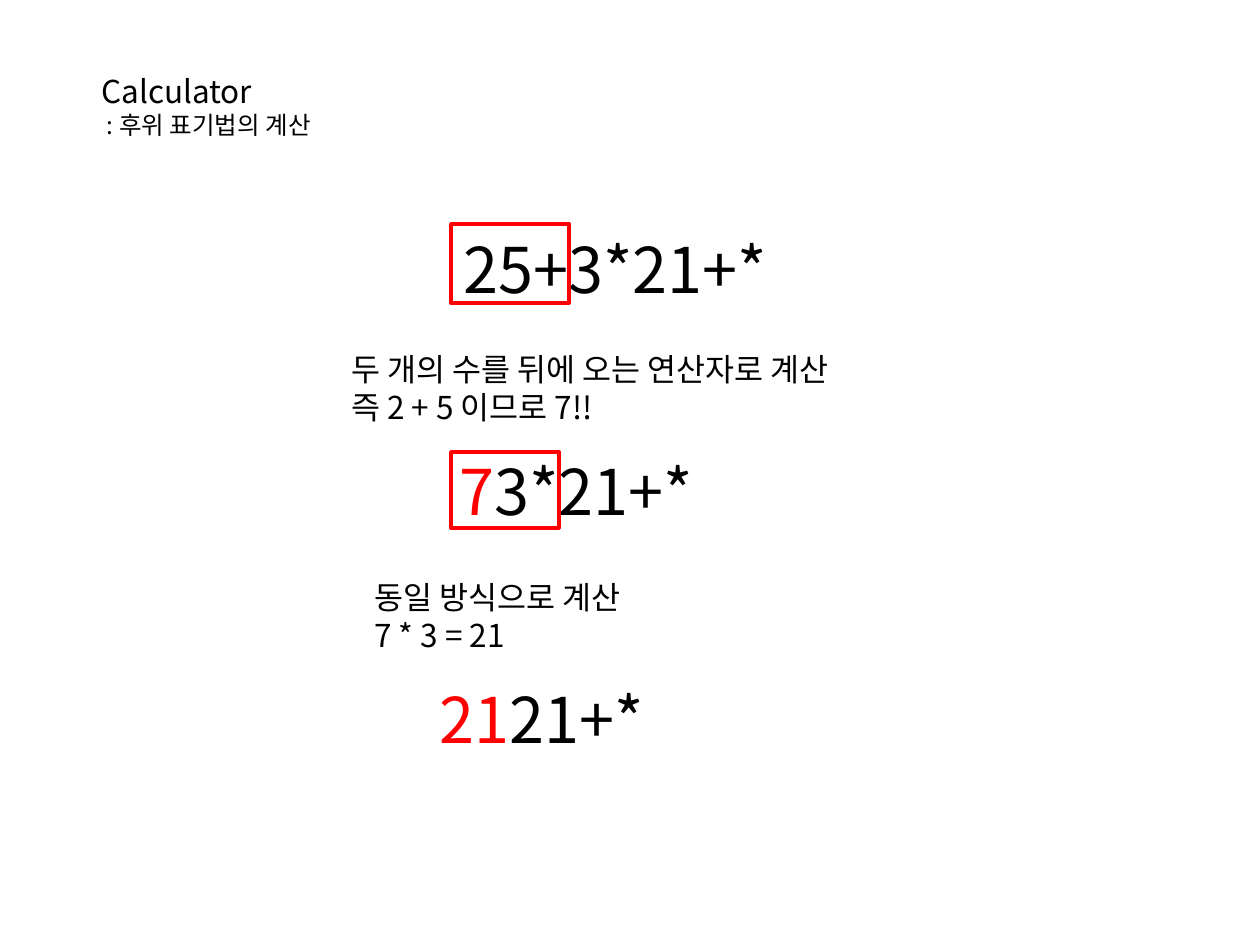
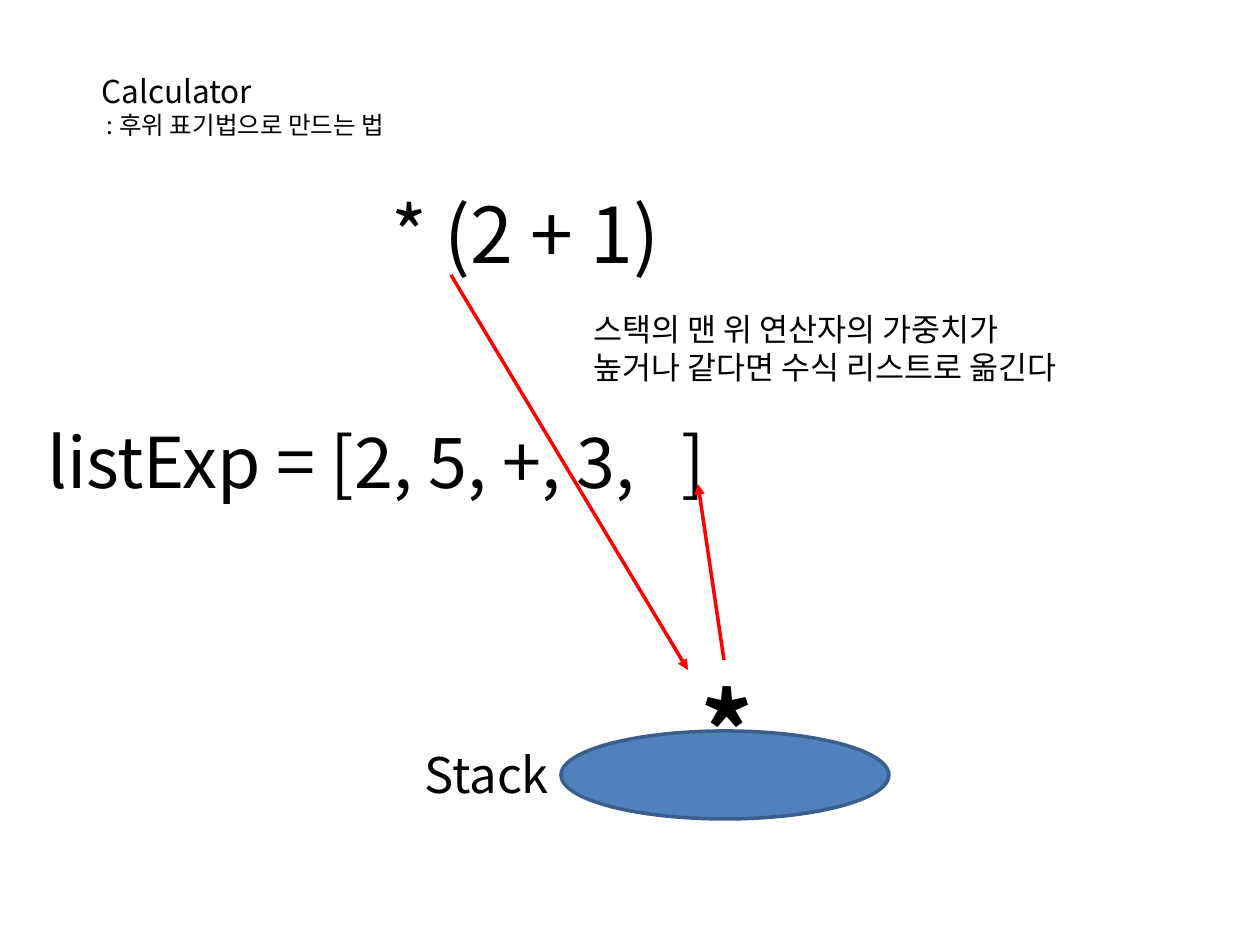
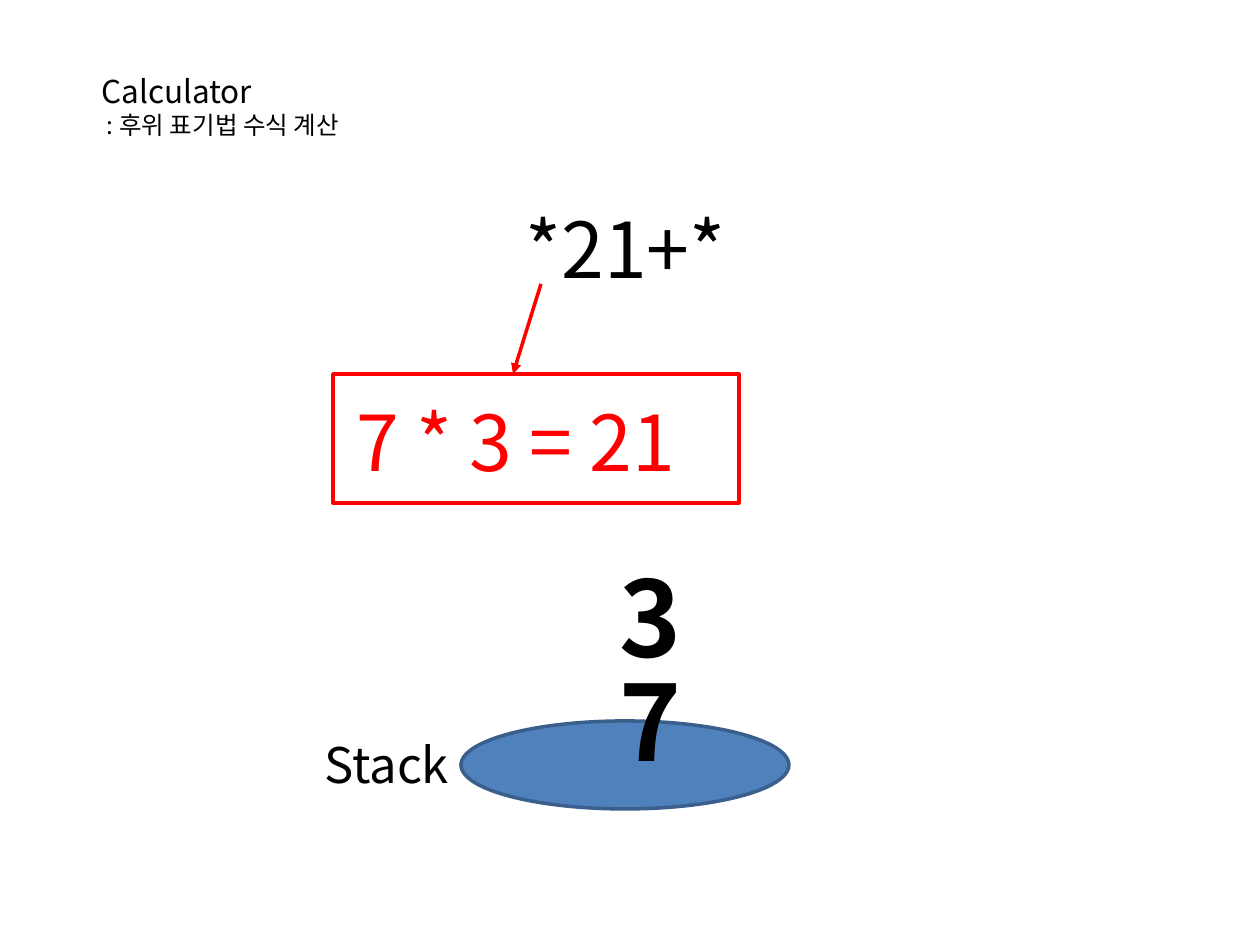
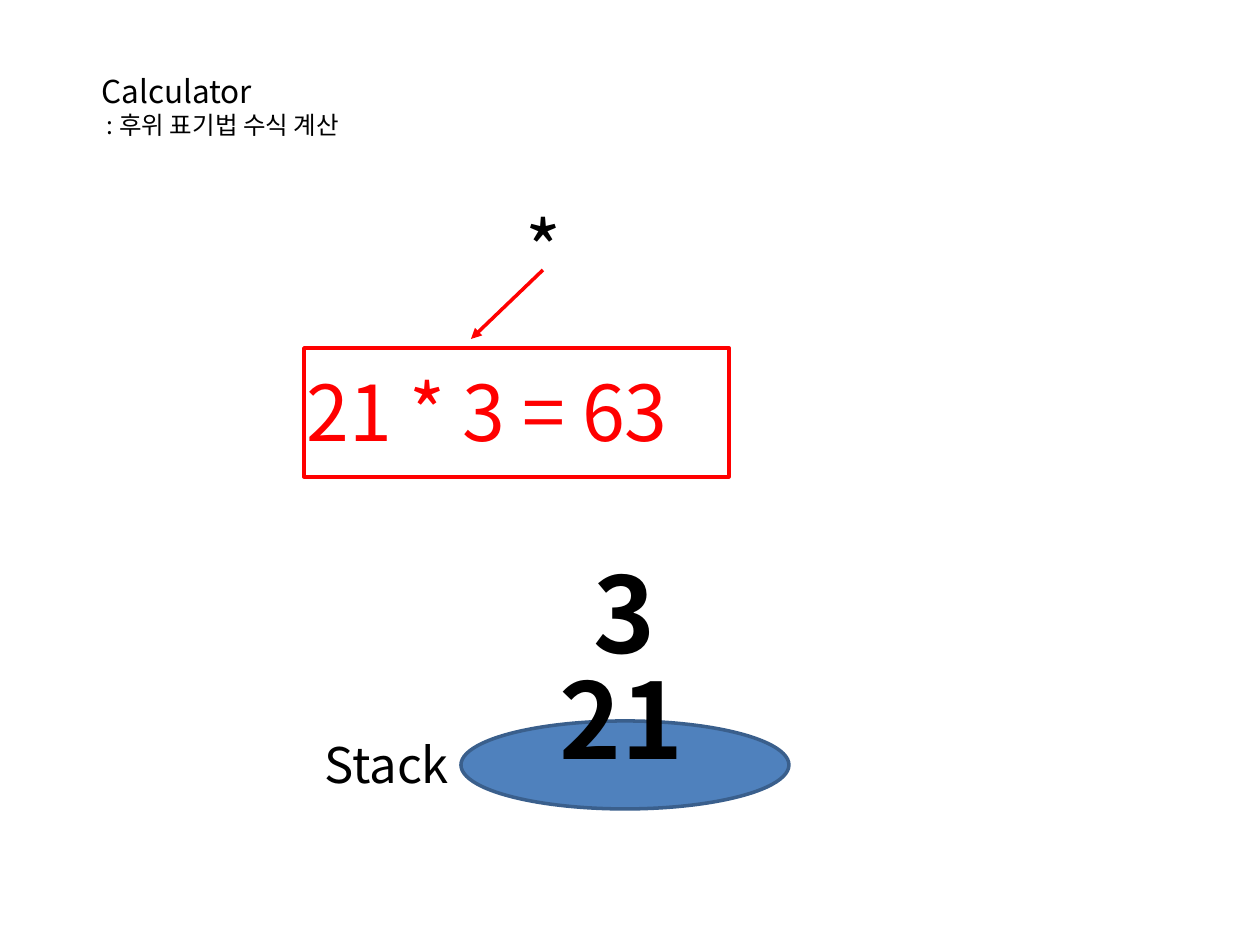
from pptx import Presentation, util as u
from pptx.dml.color import RGBColor
from pptx.enum import shapes, text
from pptx.oxml import ns
from lxml import etree

SCALE = 914400 // 126
FONT = "Noto Sans CJK KR"
BLACK, RED, BLUE, NAVY = "000000", "FF0000", "4F81BD", "3A5F8C"


def px(*lengths):
    """Turn pixel lengths into EMU."""
    return [u.Emu(round(length * SCALE)) for length in lengths]


def color(value):
    """Turn a hex string into a colour."""
    return RGBColor.from_string(value)


def child(parent, tag, **attributes):
    """Append a DrawingML element to a parent."""
    return etree.SubElement(parent, ns.qn(tag), **attributes)


def add_text(slide, box, paragraphs, bold=False, wrap=False):
    """Add paragraphs, each a list of (words, size, colour) runs."""
    label = slide.shapes.add_textbox(*px(*box))
    frame = label.text_frame
    frame.word_wrap = wrap
    frame.auto_size = text.MSO_AUTO_SIZE.SHAPE_TO_FIT_TEXT
    for index, runs in enumerate(paragraphs):
        paragraph = frame.add_paragraph() if index else frame.paragraphs[0]
        for words, size, shade in runs:
            run = paragraph.add_run()
            run.text = words
            run.font.size = u.Pt(size)
            run.font.bold = bold
            run.font.color.rgb = color(shade)
            run.font.name = FONT
            child(run.font._element, "a:ea", typeface=FONT)
    return frame


def add_outline(slide, kind, box, line, fill=None):
    """Add a preset shape with a two-point outline."""
    shape = slide.shapes.add_shape(kind, *px(*box))
    shape.shadow.inherit = False
    shape.line.color.rgb = color(line)
    shape.line.width = u.Pt(2)
    if fill:
        shape.fill.solid()
        shape.fill.fore_color.rgb = color(fill)
    else:
        shape.fill.background()


def add_frame(slide, box):
    """Mark a region with a red frame."""
    add_outline(slide, shapes.MSO_SHAPE.RECTANGLE, box, RED)


def add_arrow(slide, start, end):
    """Draw a red arrow between two points."""
    arrow = slide.shapes.add_connector(shapes.MSO_CONNECTOR.STRAIGHT, *px(*start, *end))
    arrow.line.color.rgb = color(RED)
    arrow.line.width = u.Pt(2)
    child(arrow.line._get_or_add_ln(), "a:tailEnd", type="triangle")
    child(arrow._element.spPr, "a:effectLst")


def add_heading(slide, topic, width):
    """Add the shared title and the topic of the slide."""
    add_text(slide, (89, 66, width, 81),
             [[("Calculator", 18, BLACK)], [(f" : {topic}", 14, BLACK)]])


def add_note(slide, box, lines):
    """Add an explanation of several lines."""
    add_text(slide, box, [[(line, 18, BLACK)] for line in lines])


def add_step(slide, box, rest, result=""):
    """Add a postfix expression led by its latest result in red."""
    runs = [(result, 36, RED)] if result else []
    add_text(slide, box, [runs + [(rest, 36, BLACK)]])


def add_stack(slide, left, top, items):
    """Draw the stack and its items, each (words, dx, dy, width)."""
    add_text(slide, (left - 149, top + 7, 159, 72), [[("Stack ", 28, BLACK)]])
    add_outline(slide, shapes.MSO_SHAPE.OVAL, (left, top, 328, 88), NAVY, BLUE)
    for words, dx, dy, width in items:
        add_text(slide, (left + dx, top + dy, width, 140),
                 [[(words, 60, BLACK)]], bold=True)


def add_operation(slide, box, words, dx, dy, width, wrap=False):
    """Show a framed calculation in red."""
    left, top = box[:2]
    add_text(slide, (left + dx, top + dy, width, 106), [[(words, 44, RED)]], wrap=wrap)
    add_frame(slide, box)


def build_reduction(slide):
    """Show a postfix expression being reduced step by step."""
    add_heading(slide, "후위 표기법의 계산", 263)
    add_step(slide, (451, 224, 344, 89), "25+3*21+*")
    add_frame(slide, (451, 224, 118, 79))
    add_note(slide, (339, 344, 571, 89),
             ["두 개의 수를 뒤에 오는 연산자로 계산", "즉 2 + 5 이므로 7!!"])
    add_step(slide, (447, 446, 265, 89), "3*21+*", "7")
    add_frame(slide, (451, 452, 108, 76))
    add_note(slide, (362, 572, 302, 89), ["동일 방식으로 계산", "7 * 3 = 21"])
    add_step(slide, (427, 674, 237, 89), "21+*", "21")


def build_conversion(slide):
    """Show an operator moving from the stack to the list."""
    add_heading(slide, "후위 표기법으로 만드는 법", 346)
    pending = add_text(slide, (310, 180, 437, 106), [[("* (2 + 1)", 44, BLACK)]])
    pending.paragraphs[0]._p.get_or_add_pPr().set("marL", str(px(69)[0]))
    expression = add_text(slide, (35, 412, 747, 97),
                          [[("listExp = [2, 5, +, 3,\t]", 40, BLACK)]])
    tabs = child(expression.paragraphs[0]._p.get_or_add_pPr(), "a:tabLst")
    child(tabs, "a:tab", pos=str(px(634)[0]), algn="l")
    add_stack(slide, 561, 731, [("*", 127, -71, 74)])
    add_arrow(slide, (451, 275), (688, 670))
    add_note(slide, (581, 304, 548, 89),
             ["스택의 맨 위 연산자의 가중치가 ", "높거나 같다면 수식 리스트로 옮긴다"])
    add_arrow(slide, (724, 660), (698, 484))


def build_evaluation(slide, remaining, width, arrow, items, operation):
    """Show an operator applied to the numbers on the stack."""
    add_heading(slide, "후위 표기법 수식 계산", 296)
    add_text(slide, (513, 195, width, 144), [[(remaining, 44, BLACK)]])
    add_arrow(slide, *arrow)
    add_stack(slide, 461, 721, items)
    add_operation(slide, *operation)


deck = Presentation()
deck.slide_width, deck.slide_height = px(1260, 945)
reduction, conversion, product, total = [
    deck.slides.add_slide(deck.slide_layouts[6]) for _ in range(4)]
build_reduction(reduction)
build_conversion(conversion)
build_evaluation(product, "*21+*", 232, ((541, 284), (513, 374)),
                 [("7", 146, -71, 87), ("3", 146, -175, 87)],
                 ((333, 374, 406, 129), "7 * 3 = 21", 11, 14, 394))
build_evaluation(total, "*", 58, ((543, 270), (471, 339)),
                 [("21", 86, -73, 156), ("3", 120, -179, 87)],
                 ((304, 348, 425, 129), "21 * 3 = 63", -10, 10, 455, True))
deck.save("out.pptx")
